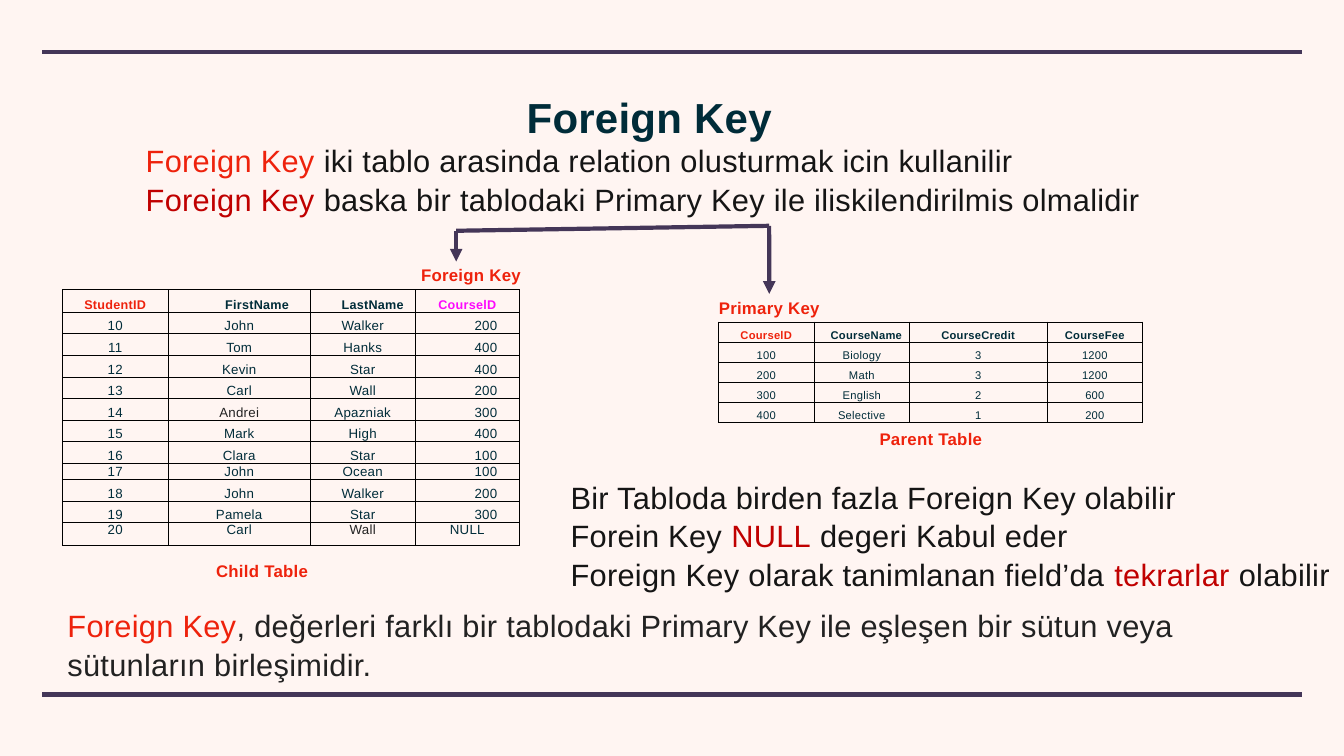
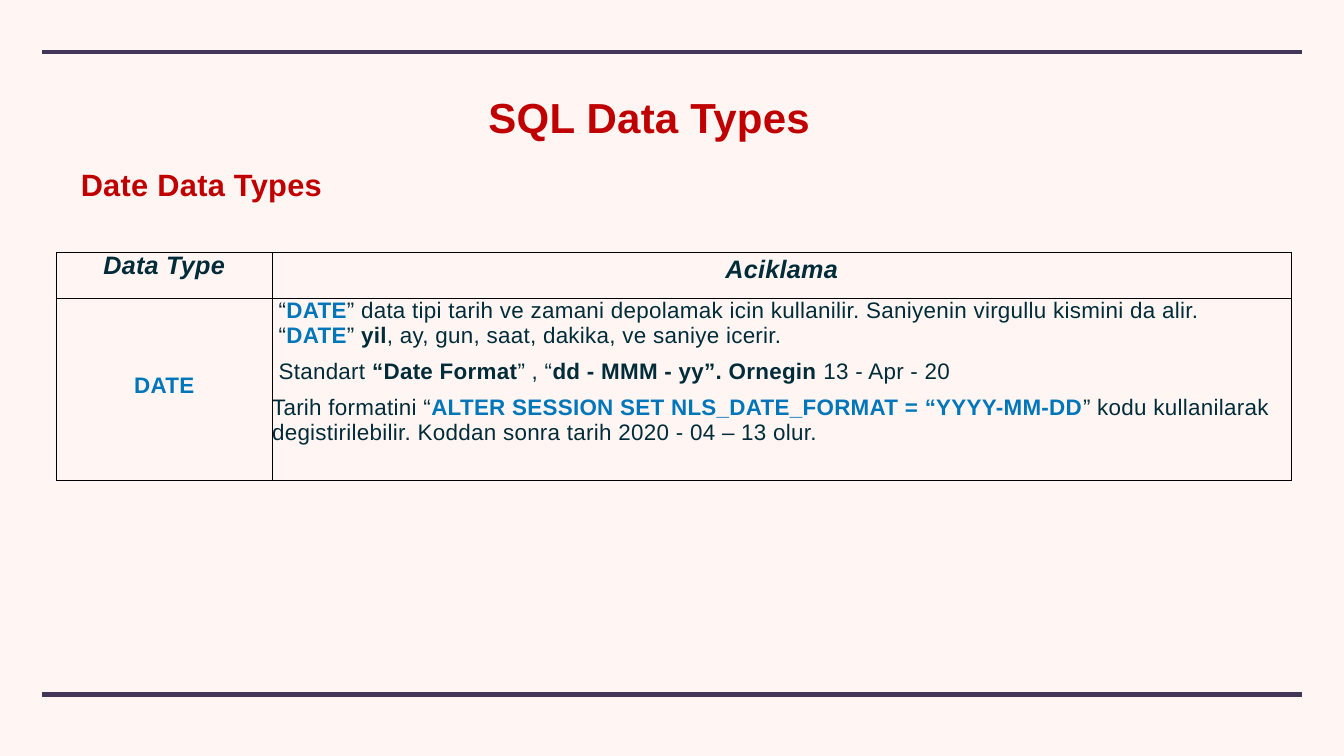
from pptx import Presentation
from pptx.dml.color import RGBColor
from pptx.enum.shapes import MSO_CONNECTOR
from pptx.enum.text import MSO_ANCHOR, MSO_AUTO_SIZE, PP_ALIGN
from pptx.oxml.ns import qn
from pptx.util import Cm, Pt
from lxml.etree import SubElement

PAPER = RGBColor(0xFF, 0xF5, 0xF2)
PLUM = RGBColor(0x44, 0x36, 0x58)
NAVY = RGBColor(0x00, 0x2C, 0x39)
RED = RGBColor(0xEE, 0x22, 0x0C)
WINE = RGBColor(0xC0, 0x00, 0x00)
PINK = RGBColor(0xFD, 0x09, 0xFD)
BLUE = RGBColor(0x00, 0x76, 0xBA)
INK = RGBColor(0x15, 0x15, 0x15)
GREY = RGBColor(0x22, 0x22, 0x22)
BLACK = RGBColor(0, 0, 0)

FONT = "Arial"
LEFT, MID = PP_ALIGN.LEFT, PP_ALIGN.CENTER
WIDE, HIGH = 67.73, 38.1
RULES = (2.64, 35)

INTRO = [
    [("Foreign Key ", RED), ("iki tablo arasinda relation olusturmak icin kullanilir", INK)],
    [("Foreign Key ", WINE), ("baska bir tablodaki Primary Key ile iliskilendirilmis olmalidir", INK)],
]
NOTES = [
    [("Bir Tabloda birden fazla Foreign Key olabilir", INK)],
    [("Forein Key ", INK), ("NULL", WINE), (" degeri Kabul eder", INK)],
    [("Foreign Key olarak tanimlanan field’da ", INK), ("tekrarlar", WINE), (" olabilir", INK)],
]
MEANING = [
    [("Foreign Key", RED), (", değerleri farklı bir tablodaki Primary Key ile eşleşen "
                            "bir sütun veya sütunların birleşimidir.", GREY)],
]
LABELS = {
    "Foreign Key": (20.93, 13.16, 5.61, 1.27),
    "Primary Key": (35.92, 14.81, 5.69, 1.27),
    "Child Table": (10.57, 28.07, 5.28, 1.27),
    "Parent Table": (43.99, 21.44, 5.84, 1.27),
}
CHILD = [
    ("StudentID", "FirstName", "LastName", "CourselD"),
    ("10", "John", "Walker", "200"),
    ("11", "Tom", "Hanks", "400"),
    ("12", "Kevin", "Star", "400"),
    ("13", "Carl", "Wall", "200"),
    ("14", "Andrei", "Apazniak", "300"),
    ("15", "Mark", "High", "400"),
    ("16", "Clara", "Star", "100"),
    ("17", "John", "Ocean", "100"),
    ("18", "John", "Walker", "200"),
    ("19", "Pamela", "Star", "300"),
    ("20", "Carl", "Wall", "NULL"),
]
CHILD_COLS = (5.31, 7.19, 5.26, 5.28)
CHILD_ROWS = [1.12] + [1.09] * 7 + [0.81] + [1.09] * 2 + [1.12]
CHILD_HEAD = (RED, NAVY, NAVY, PINK)
GREYS = ((5, 1), (11, 2))
PARENT = [
    ("CourselD", "CourseName", "CourseCredit", "CourseFee"),
    ("100", "Biology", "3", "1200"),
    ("200", "Math", "3", "1200"),
    ("300", "English", "2", "600"),
    ("400", "Selective", "1", "200"),
]
PARENT_COLS = (4.83, 4.8, 6.93, 4.83)
PARENT_HEAD = (RED, NAVY, NAVY, NAVY)

TYPES = ("Data Type", "Aciklama")
TYPE_COLS, TYPE_ROWS = (10.87, 51.36), (2.32, 9.21)
DATES = [
    (0.33, 0, [("“", NAVY), ("DATE", BLUE, True),
               ("” data tipi tarih ve zamani depolamak icin kullanilir. "
                "Saniyenin virgullu kismini da alir.", NAVY)]),
    (0.33, 15.4, [("“", NAVY), ("DATE", BLUE, True), ("” ", NAVY), ("yil", NAVY, True),
                  (", ay, gun, saat, dakika, ve saniye icerir.", NAVY)]),
    (0.33, 15.4, [("Standart ", NAVY), ("“Date Format", NAVY, True), ("” , “", NAVY),
                  ("dd - MMM - yy”. Ornegin", NAVY, True), (" 13 - Apr - 20", NAVY)]),
    (0, 0, [("Tarih formatini “", NAVY),
            ("ALTER SESSION SET NLS_DATE_FORMAT = “YYYY-MM-DD", BLUE, True),
            ("” kodu kullanilarak degistirilebilir. Koddan sonra tarih "
             "2020 - 04 – 13 olur.", NAVY)]),
]


def write(para, runs, size, align, italic=False):
    para.alignment = align
    for words, color, *bold in runs:
        run = para.add_run()
        run.text = words
        font = run.font
        font.name, font.size, font.italic = FONT, Pt(size), italic
        font.bold = bool(bold and bold[0])
        font.color.rgb = color
        font._element.set("spc", "40")


def lines(frame, rows):
    for num, row in enumerate(rows):
        yield (frame.add_paragraph() if num else frame.paragraphs[0]), row


def fill(shape, box, rows, size, align=LEFT, wrap=False):
    shape.left, shape.top, shape.width, shape.height = map(Cm, box)
    frame = shape.text_frame
    frame.word_wrap = wrap
    frame.auto_size = MSO_AUTO_SIZE.NONE
    frame.vertical_anchor = MSO_ANCHOR.TOP
    for para, runs in lines(frame, rows):
        write(para, runs, size, align)
        para.line_spacing = 1.05
        para.space_before = Pt(0)
        props = para._p.get_or_add_pPr()
        props.set("marL", "0")
        props.set("indent", "0")
        SubElement(props, qn("a:buNone"))


def line(slide, start, end, arrow=False):
    link = slide.shapes.add_connector(MSO_CONNECTOR.STRAIGHT, *map(Cm, start + end))
    link.line.color.rgb = PLUM
    link.line.width = Pt(6)
    if arrow:
        SubElement(link.line._get_or_add_ln(), qn("a:tailEnd"), type="triangle")
    SubElement(link.element.spPr, qn("a:effectLst"))
    return link


def border(cell):
    props = cell._tc.get_or_add_tcPr()
    for num, side in enumerate(("lnL", "lnR", "lnT", "lnB")):
        edge = props.makeelement(qn("a:" + side), {"w": "12700"})
        solid = SubElement(edge, qn("a:solidFill"))
        SubElement(solid, qn("a:srgbClr"), val=str(BLACK))
        props.insert(num, edge)


def grid(slide, left, top, cols, rows):
    frame = slide.shapes.add_table(len(rows), len(cols), Cm(left), Cm(top),
                                   Cm(sum(cols)), Cm(sum(rows)))
    table = frame.table
    table.first_row = table.horz_banding = False
    for col, width in zip(table.columns, cols):
        col.width = Cm(width)
    for row, height in zip(table.rows, rows):
        row.height = Cm(height)
    for cell in table.iter_cells():
        cell.margin_left = cell.margin_right = cell.margin_top = cell.margin_bottom = 0
        cell.fill.background()
        border(cell)
    return table


def indent(para, width):
    para._p.get_or_add_pPr().set("marL", str(Cm(width)))


def records(table, data, heads, sizes, shifts, greys=()):
    for r, row in enumerate(data):
        for c, words in enumerate(row):
            cell = table.cell(r, c)
            cell.vertical_anchor = MSO_ANCHOR.BOTTOM
            para = cell.text_frame.paragraphs[0]
            color = GREY if (r, c) in greys else NAVY
            run = (words, color) if r else (words, heads[c], True)
            write(para, [run], sizes[min(r, 1)], MID)
            indent(para, shifts[min(r, 1)][c])


def keys(deck):
    slide = deck.slides.add_slide(deck.slide_layouts[3])
    title, intro, notes = slide.placeholders
    fill(title, (26.21, 4.34, 13.03, 2.82), [[("Foreign Key", NAVY, True)]], 60, MID)

    child = grid(slide, 3.15, 14.6, CHILD_COLS, CHILD_ROWS)
    shifts = ((0, 1.8, 1, 0), (0, 0, 0, 1.88))
    records(child, CHILD, CHILD_HEAD, (18, 19), shifts, GREYS)
    last = len(CHILD) - 1
    for col in range(len(CHILD_COLS)):
        child.cell(last, col).vertical_anchor = MSO_ANCHOR.TOP
    indent(child.cell(last, 3).text_frame.paragraphs[0], 0)

    parent = grid(slide, 36.2, 16.23, PARENT_COLS, [1.01] * len(PARENT))
    records(parent, PARENT, PARENT_HEAD, (16, 16), ((0, 0.46, 0, 0), (0,) * 4))

    tags = {}
    for words, box in LABELS.items():
        tags[words] = slide.shapes.add_textbox(0, 0, 0, 0)
        fill(tags[words], box, [[(words, RED, True)]], 24, MID)

    near, far = (22.99, 11.63), (38.76, 11.38)
    line(slide, near, (near[0], 13.18), True)
    line(slide, near, far)
    line(slide, far, (far[0], 14.81), True).end_connect(tags["Primary Key"], 0)

    fill(intro, (7.09, 6.93, 51.26, 4.01), INTRO, 44)
    fill(notes, (28.5, 23.88, 39.24, 5.89), NOTES, 44)
    fill(slide.shapes.add_textbox(0, 0, 0, 0), (3.15, 30.35, 63.17, 4.01),
         MEANING, 44, wrap=True)


def types(deck):
    slide = deck.slides.add_slide(deck.slide_layouts[1])
    title, body = slide.placeholders
    fill(title, (24.16, 4.34, 17.12, 2.82), [[("SQL Data Types", WINE, True)]], 60, MID)
    fill(body, (3.68, 8.13, 12.95, 2.13), [[("Date Data Types", WINE, True)]], 44, MID)

    table = grid(slide, 2.84, 12.7, TYPE_COLS, TYPE_ROWS)
    for col, words in enumerate(TYPES):
        para = table.cell(0, col).text_frame.paragraphs[0]
        write(para, [(words, NAVY, True)], 36, MID, True)
    para.line_spacing = 1.12
    name, about = table.cell(1, 0), table.cell(1, 1)
    name.vertical_anchor = MSO_ANCHOR.MIDDLE
    name.margin_bottom = Cm(0.4)
    write(name.text_frame.paragraphs[0], [("DATE", BLUE, True)], 32, MID)
    for para, (shift, after, runs) in lines(about.text_frame, DATES):
        write(para, runs, 32, LEFT)
        para.space_after = Pt(after)
        indent(para, shift)


def dress(deck):
    master = deck.slide_master
    master.background.fill.solid()
    master.background.fill.fore_color.rgb = PAPER
    slide = deck.slides[0]
    for num, top in enumerate(RULES):
        rule = line(slide, (2.12, top), (65.61, top)).element
        rule.nvCxnSpPr.cNvPr.set("id", str(50 + num))
        master.shapes.element.append(rule)


def main():
    """Build the two SQL slides and save them."""
    deck = Presentation()
    deck.slide_width, deck.slide_height = Cm(WIDE), Cm(HIGH)
    keys(deck)
    types(deck)
    dress(deck)
    deck.save("out.pptx")


if __name__ == "__main__":
    main()
